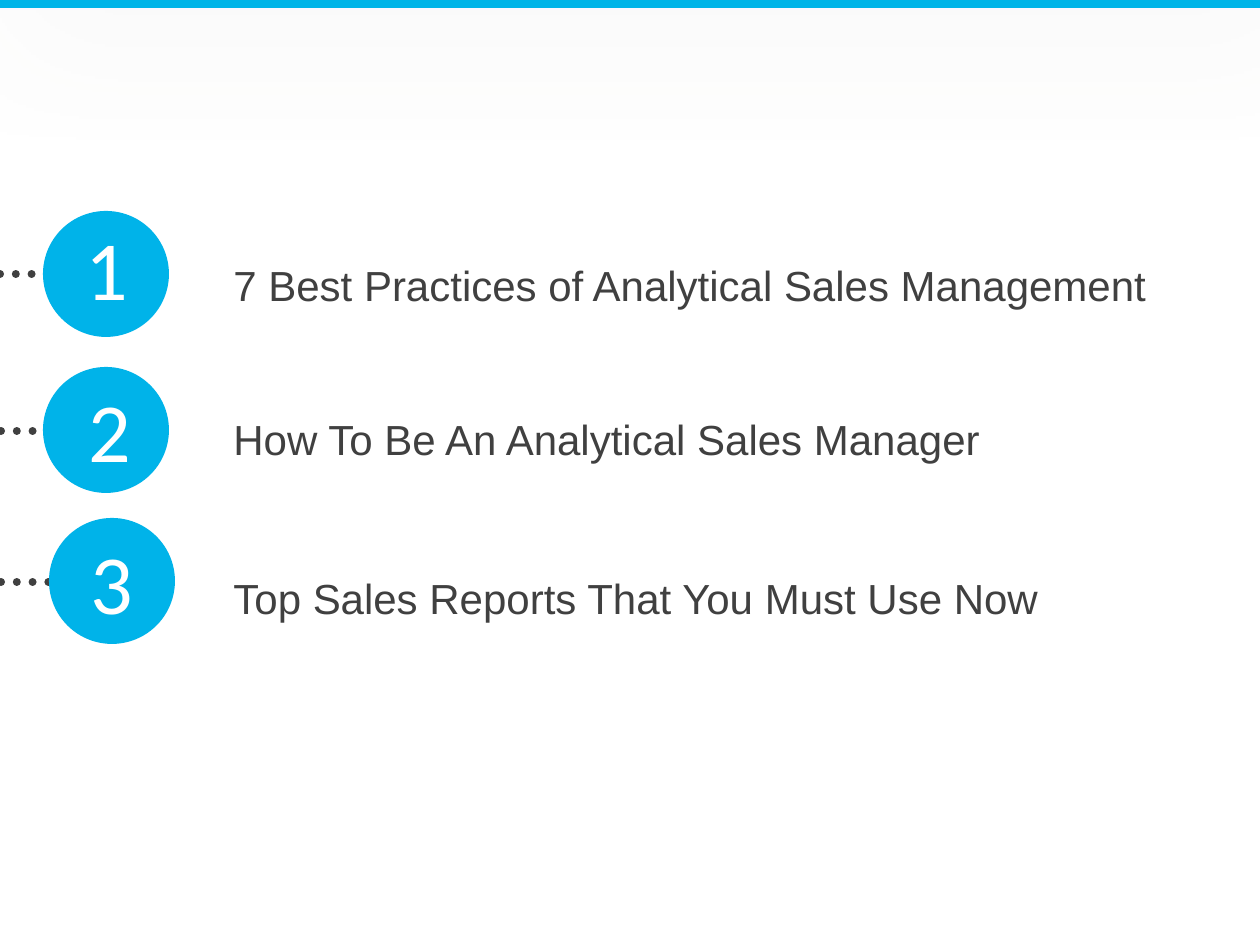
from lxml import etree
from pptx import Presentation
from pptx import util as u
from pptx.dml.color import RGBColor
from pptx.enum import dml, shapes, text
from pptx.oxml.ns import qn

BLUE = RGBColor(0x00, 0xB3, 0xE9)
PALE = RGBColor(0xFB, 0xF7, 0xFF)
DARK = RGBColor(0x40, 0x40, 0x40)
WHITE = RGBColor(0xFF, 0xFF, 0xFF)
GRAY = RGBColor(0x8F, 0x8F, 0x8D)
RECT = shapes.MSO_SHAPE.RECTANGLE
OVAL = shapes.MSO_SHAPE.OVAL


def px(*vals):
    return [u.Inches(v / 126) for v in vals]


class Deck:
    def __init__(self):
        self.prs = Presentation()
        self.prs.slide_width, self.prs.slide_height = px(1260, 945)
        self.slide = self.prs.slides.add_slide(self.prs.slide_layouts[6])

    def shape(self, kind, box, fill):
        item = self.slide.shapes.add_shape(kind, *px(*box))
        item.shadow.inherit = False
        item.fill.solid()
        item.fill.fore_color.rgb = fill
        item.line.fill.background()
        return item

    def shade(self, item, color, blur, alpha, dist):
        effects = item._element.spPr.find(qn("a:effectLst"))
        outer = etree.SubElement(
            effects, qn("a:outerShdw"), blurRad=str(u.Pt(blur)),
            dist=str(u.Pt(dist)), dir="5400000", algn="t", rotWithShape="0")
        tint = etree.SubElement(outer, qn("a:srgbClr"), val=str(color))
        etree.SubElement(tint, qn("a:alpha"), val=str(alpha))

    def dots(self, left, top, width):
        line = self.slide.shapes.add_connector(
            shapes.MSO_CONNECTOR.STRAIGHT, *px(left, top, left + width, top))
        line.line.color.rgb = DARK
        line.line.width = u.Pt(4.5)
        line.line.dash_style = dml.MSO_LINE.ROUND_DOT
        props = line._element.spPr
        props.get_or_add_ln().set("cap", "rnd")
        etree.SubElement(props, qn("a:effectLst"))

    def label(self, words, box, font, size, color, align=None, space=None):
        frame = self.slide.shapes.add_textbox(*px(*box)).text_frame
        frame.word_wrap = True
        frame.auto_size = text.MSO_AUTO_SIZE.SHAPE_TO_FIT_TEXT
        frame.text = words
        para = frame.paragraphs[0]
        para.alignment = align
        para.line_spacing = space
        face = para.runs[0].font
        face.name, face.size = font, u.Pt(size)
        face.color.rgb = color

    def entry(self, num, words, line, disc, digit, top):
        self.dots(*line, 95)
        self.shape(OVAL, (*disc, 126, 126), BLUE)
        self.label(num, (*digit, 136, 115), "Calibri", 48, WHITE,
                   align=text.PP_ALIGN.CENTER)
        self.label(words, (221, top, 989, 80), "Arial", 24, DARK, space=1.5)


def main():
    deck = Deck()
    base = deck.shape(RECT, (0, -1, 1314, 11), PALE)
    deck.shade(base, GRAY, 78, 41200, 2)
    deck.shape(RECT, (0, -1, 1314, 9), BLUE)

    rows = [
        ("7 Best Practices of Analytical Sales Management",
         (0, 274), (43, 211), (39, 210), 228),
        ("How To Be An Analytical Sales Manager",
         (1, 431), (43, 367), (42, 372), 382),
        ("Top Sales Reports That You Must Use Now",
         (1, 582), (49, 518), (44, 524), 541),
    ]
    for num, row in enumerate(rows, 1):
        deck.entry(str(num), *row)
    deck.prs.save("out.pptx")


if __name__ == "__main__":
    main()
